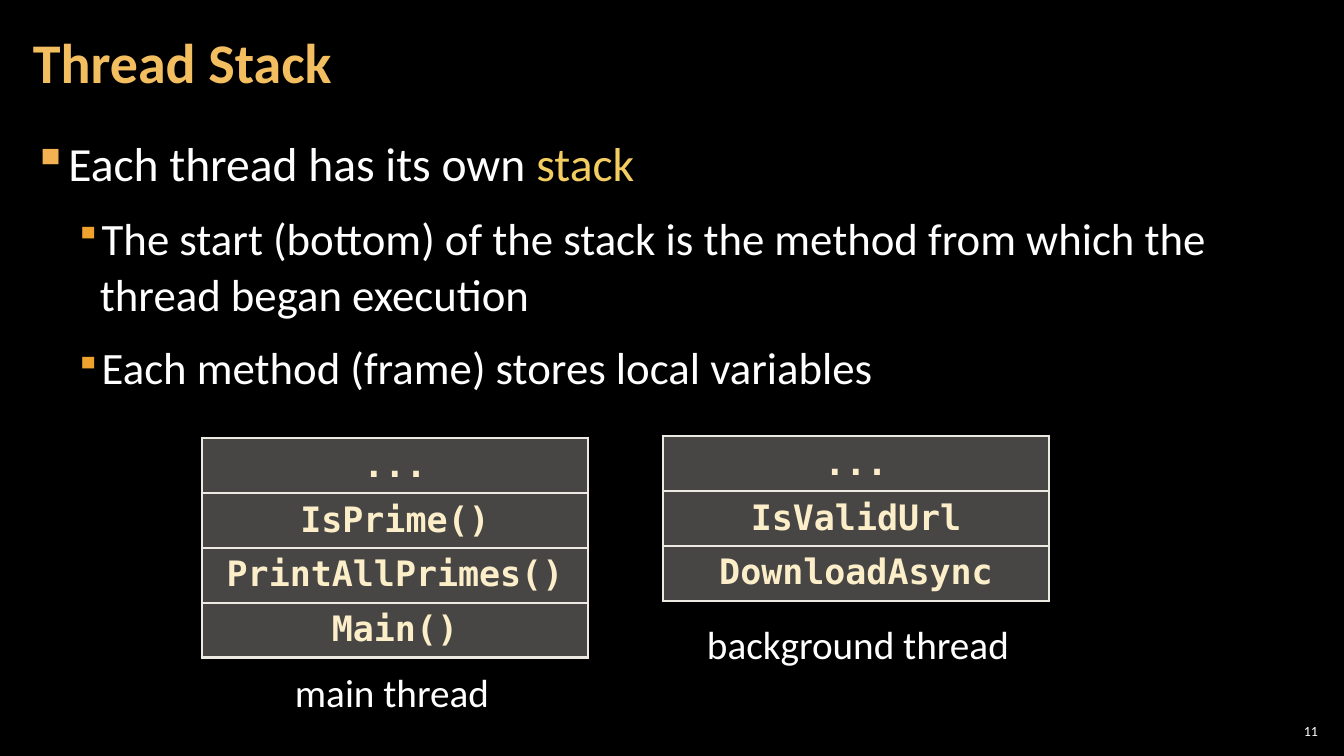
from lxml.etree import SubElement
from pptx import Presentation
from pptx.dml.color import RGBColor
from pptx.enum.text import MSO_ANCHOR, PP_ALIGN
from pptx.oxml.ns import qn
from pptx.util import Emu, Pt

PX = 914400 / 100.8
BLACK = RGBColor(0x00, 0x00, 0x00)
WHITE = RGBColor(0xFF, 0xFF, 0xFF)
TITLE_GOLD = RGBColor(0xF3, 0xBE, 0x60)
KEYWORD_GOLD = RGBColor(0xF3, 0xCD, 0x60)
BULLET_LIGHT = RGBColor(0xF2, 0xB2, 0x54)
BULLET_DARK = RGBColor(0xF0, 0xA2, 0x2E)
CREAM = RGBColor(0xFB, 0xEE, 0xC9)
IVORY = RGBColor(0xEC, 0xEA, 0xE3)


def px(n):
    return Emu(round(n * PX))


def add_solid_fill(parent, color, opacity=100):
    fill = SubElement(parent, qn("a:solidFill"))
    clr = SubElement(fill, qn("a:srgbClr"), val=str(color))
    if opacity < 100:
        SubElement(clr, qn("a:alpha"), val=str(opacity * 1000))


class Deck:
    font = "Calibri"
    code_font = "DejaVu Sans Mono"

    def __init__(self, width, height):
        self.prs = Presentation()
        self.prs.slide_width, self.prs.slide_height = px(width), px(height)
        self.s = self.prs.slides.add_slide(self.prs.slide_layouts[5])
        self.s.background.fill.solid()
        self.s.background.fill.fore_color.rgb = BLACK

    def style(self, run, size, color=WHITE, bold=False, font=None):
        run.font.name = font or self.font
        run.font.size = Pt(size)
        run.font.bold = bold
        run.font.color.rgb = color

    def frame(self, sp, side=10, anchor=MSO_ANCHOR.TOP):
        tf = sp.text_frame
        tf.word_wrap = True
        tf.vertical_anchor = anchor
        tf.margin_left = tf.margin_right = px(side)
        tf.margin_top = tf.margin_bottom = px(4)
        return tf

    def box(self, x, y, w, h, **options):
        sp = self.s.shapes.add_textbox(px(x), px(y), px(w), px(h))
        return self.frame(sp, **options)

    def title(self, text, x, y, w, h):
        sp = self.s.shapes.title
        sp.left, sp.top, sp.width, sp.height = px(x), px(y), px(w), px(h)
        tf = self.frame(sp, 12, MSO_ANCHOR.MIDDLE)
        tf.text = text
        p = tf.paragraphs[0]
        p.alignment = PP_ALIGN.LEFT
        p.line_spacing = 0.9
        self.style(p.runs[0], 40, TITLE_GOLD, bold=True)

    def label(self, text, x, y, w, h, size=28, align=PP_ALIGN.LEFT, **options):
        tf = self.box(x, y, w, h, **options)
        tf.text = text
        p = tf.paragraphs[0]
        p.alignment = align
        self.style(p.runs[0], size)

    def bullets(self, items, x, y, w, h):
        """Each item is (level, [(text, color), ...])."""
        levels = [(34, 34, 34, BULLET_LIGHT, 100), (67, 25, 32, BULLET_DARK, 80)]
        tf = self.box(x, y, w, h, side=12)
        for i, (level, parts) in enumerate(items):
            indent, hang, size, color, scale = levels[level]
            p = tf.add_paragraph() if i else tf.paragraphs[0]
            p.level = level
            p.line_spacing = 1.05
            p.space_before = Pt(6 if i else 0)
            p.space_after = Pt(6)
            pPr = p._p.get_or_add_pPr()
            pPr.set("marL", str(px(indent)))
            pPr.set("indent", str(-px(hang)))
            bullet_color = SubElement(pPr, qn("a:buClr"))
            SubElement(bullet_color, qn("a:srgbClr"), val=str(color))
            SubElement(pPr, qn("a:buSzPct"), val=str(scale * 1000))
            SubElement(pPr, qn("a:buChar"), char="▪")
            for text, text_color in parts:
                r = p.add_run()
                r.text = text
                self.style(r, size, text_color)

    def stack(self, methods, x, y, w, row_height):
        table = self.s.shapes.add_table(
            len(methods), 1, px(x), px(y), px(w), px(row_height * len(methods))).table
        table.first_row = table.horz_banding = False
        for i, method in enumerate(methods):
            table.rows[i].height = px(row_height)
            cell = table.cell(i, 0)
            cell.text = method
            cell.vertical_anchor = MSO_ANCHOR.MIDDLE
            p = cell.text_frame.paragraphs[0]
            p.alignment = PP_ALIGN.CENTER
            p.line_spacing = 0.95
            self.style(p.runs[0], 25, CREAM, bold=True, font=self.code_font)
            tcPr = cell._tc.get_or_add_tcPr()
            for side in ("lnL", "lnR", "lnT", "lnB"):
                line = SubElement(tcPr, qn(f"a:{side}"), w=str(Pt(2.25)))
                add_solid_fill(line, IVORY)
            add_solid_fill(tcPr, IVORY, opacity=30)


def main():
    deck = Deck(1344, 756)
    deck.label("11", 1275, 720, 47, 21, size=10, align=PP_ALIGN.RIGHT,
               side=4, anchor=MSO_ANCHOR.MIDDLE)
    deck.bullets([
        (0, [("Each thread has its own ", WHITE), ("stack", KEYWORD_GOLD)]),
        (1, [("The start (bottom) of the stack is the method from which "
              "the thread began execution", WHITE)]),
        (1, [("Each method (frame) stores local variables", WHITE)]),
    ], 21, 127, 1301, 614)
    deck.title("Thread Stack", 21, 4, 1055, 122)
    deck.stack(["...", "IsPrime()", "PrintAllPrimes()", "Main()"], 202, 438, 386, 55)
    deck.label("main thread", 285, 664, 219, 57)
    deck.stack(["...", "IsValidUrl", "DownloadAsync"], 663, 436, 386, 55)
    deck.label("background thread", 697, 616, 326, 57)
    deck.prs.save("out.pptx")


if __name__ == "__main__":
    main()
